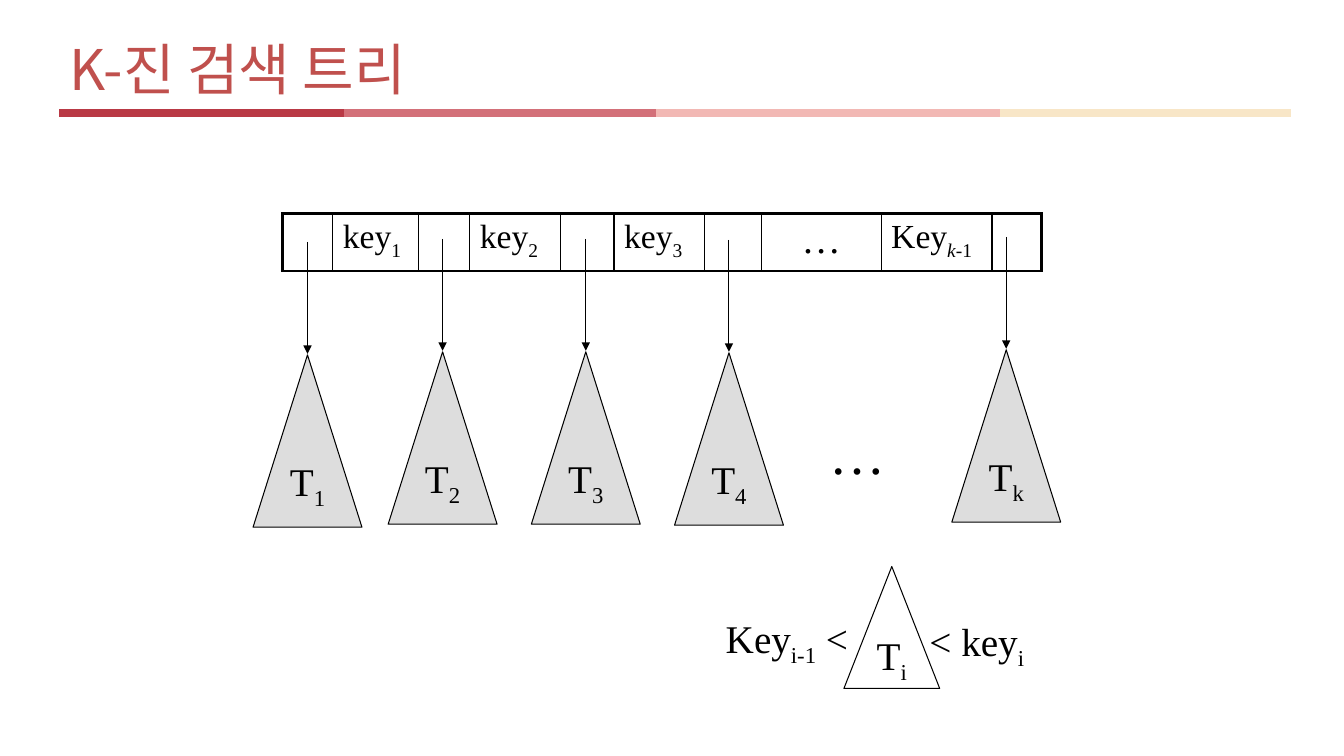
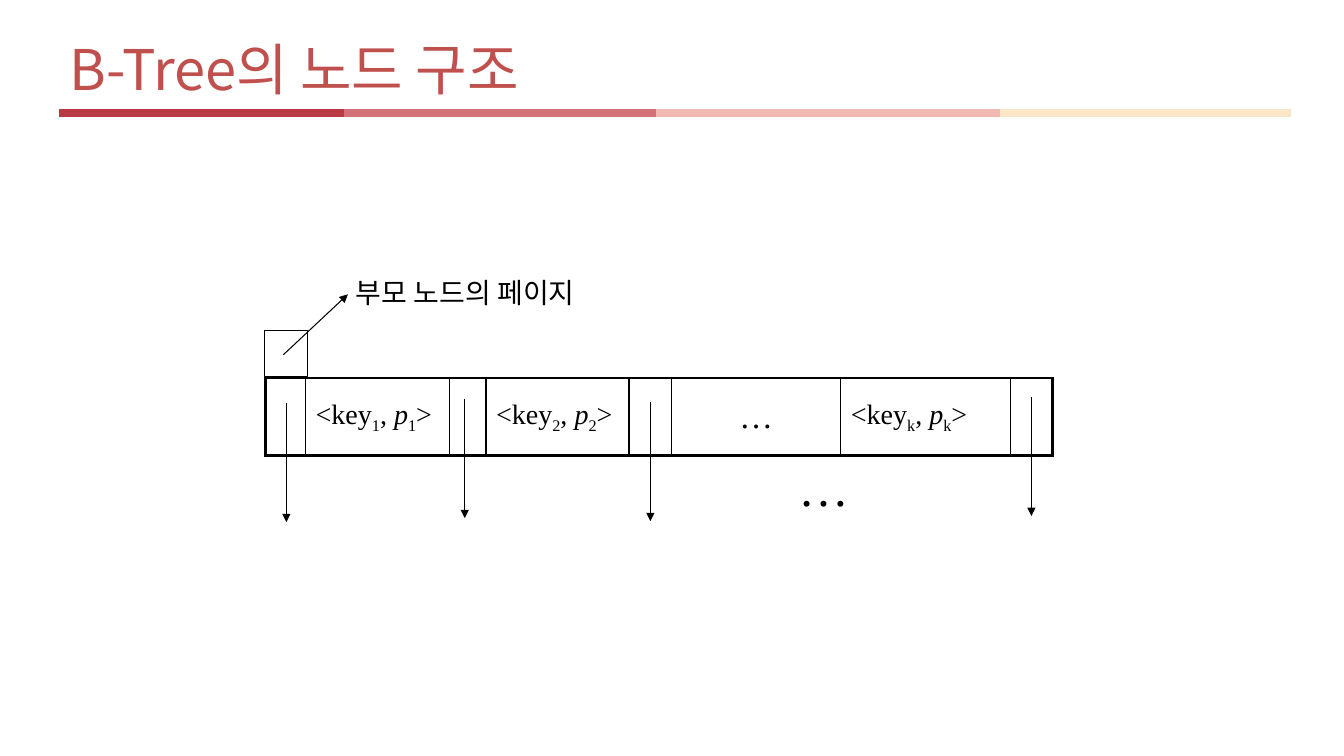
from itertools import pairwise

from lxml import etree
from pptx import Presentation
from pptx.dml.color import RGBColor
from pptx.enum.shapes import MSO_CONNECTOR, MSO_SHAPE
from pptx.enum.text import MSO_ANCHOR, PP_ALIGN
from pptx.oxml.ns import qn
from pptx.util import Emu, Pt

PX = 9144
SLIDE_WIDTH, SLIDE_HEIGHT = 1333, 750
COLORS = {
    "title": "C0504D",
    "ink": "000000",
    "paper": "FFFFFF",
    "subtree": "DDDDDD",
}
BAND_COLORS = ["B93945", "D37079", "F2B8B4", "F8E6C7"]
BAND_EDGES = [59, 341, 651, 992, 1280]
SANS, SERIF = "Noto Sans CJK KR", "Times New Roman"
STRAIGHT = MSO_CONNECTOR.STRAIGHT
TRIANGLE, RECTANGLE = MSO_SHAPE.ISOSCELES_TRIANGLE, MSO_SHAPE.RECTANGLE
LEFT, CENTER = PP_ALIGN.LEFT, PP_ALIGN.CENTER
TOP, MIDDLE = MSO_ANCHOR.TOP, MSO_ANCHOR.MIDDLE
PLAIN, SUB, ITALIC, SUB_ITALIC = "plain", "sub", "italic", "sub italic"
ELLIPSIS = [("…", PLAIN)]


def emu(*lengths):
    """Turn px lengths into EMU."""
    return [Emu(length * PX) for length in lengths]


def rgb(name):
    """Return the named colour."""
    return RGBColor.from_string(COLORS[name])


def subscripted(base, index):
    """Return the pieces of a word followed by a subscript."""
    return [(base, PLAIN), (index, SUB)]


def key_pair(index):
    """Return the pieces of a key and pointer pair."""
    return [("<key", PLAIN), (index, SUB), (", ", PLAIN),
            ("p", ITALIC), (index, SUB), (">", PLAIN)]


def write(text_frame, pieces, size, font=SERIF, color="ink", align=LEFT):
    """Write styled pieces as the runs of one paragraph."""
    paragraph = text_frame.paragraphs[0]
    paragraph.alignment = align
    for text, style in pieces:
        run = paragraph.add_run()
        run.text = text
        run.font.size = Pt(size)
        run.font.name = font
        run.font.color.rgb = rgb(color)
        properties = run._r.get_or_add_rPr()
        etree.SubElement(properties, qn("a:ea"), typeface=font)
        if "italic" in style:
            run.font.italic = True
        if "sub" in style:
            properties.set("baseline", "-25000")


def add_label(slide, box, pieces, size, font=SERIF):
    """Add a one-line text box."""
    text_frame = slide.shapes.add_textbox(*emu(*box)).text_frame
    text_frame.word_wrap = False
    write(text_frame, pieces, size, font)


def add_outline(slide, kind, box, fill=None):
    """Add a thin black outlined shape, filled when a colour is named."""
    shape = slide.shapes.add_shape(kind, *emu(*box))
    shape.shadow.inherit = False
    if fill:
        shape.fill.solid()
        shape.fill.fore_color.rgb = rgb(fill)
    else:
        shape.fill.background()
    shape.line.color.rgb = rgb("ink")
    shape.line.width = Pt(0.75)
    return shape


def add_triangle(slide, box, index, fill):
    """Add a subtree triangle labelled T with an index."""
    text_frame = add_outline(slide, TRIANGLE, box, fill).text_frame
    text_frame.word_wrap = False
    text_frame.vertical_anchor = MIDDLE
    write(text_frame, subscripted("T", index), 28, align=CENTER)


def add_line(slide, start, end, color, width):
    """Add a straight line without a shadow."""
    line = slide.shapes.add_connector(STRAIGHT, *emu(*start, *end))
    line.line.color.rgb = RGBColor.from_string(color)
    line.line.width = Pt(width)
    etree.SubElement(line._element.spPr, qn("a:effectLst"))
    return line


def add_arrow(slide, start, end):
    """Add a thin black arrow."""
    arrow = add_line(slide, start, end, COLORS["ink"], 0.75)
    etree.SubElement(arrow.line._get_or_add_ln(), qn("a:tailEnd"), type="triangle")


def set_borders(cell, is_first, is_last):
    """Draw thick outer and thin inner borders."""
    properties = cell._tc.get_or_add_tcPr()
    widths = {"lnL": 2.25 if is_first else 1, "lnR": 2.25 if is_last else 1,
              "lnT": 2.25, "lnB": 2.25}
    for position, (side, width) in enumerate(widths.items()):
        border = etree.Element(qn(f"a:{side}"), w=str(Pt(width)))
        fill = etree.SubElement(border, qn("a:solidFill"))
        etree.SubElement(fill, qn("a:srgbClr"), val=COLORS["ink"])
        properties.insert(position, border)


def add_node(slide, left, top, height, cells, anchor):
    """Add a tree node as a one-row table of (width, pieces, size) cells."""
    width = sum(cell[0] for cell in cells)
    table = slide.shapes.add_table(
        1, len(cells), *emu(left, top, width, height)).table
    table.first_row = table.horz_banding = False
    for column, (cell_width, pieces, size) in enumerate(cells):
        table.columns[column].width = Emu(cell_width * PX)
        cell = table.cell(0, column)
        cell.fill.background()
        cell.vertical_anchor = anchor
        set_borders(cell, column == 0, column == len(cells) - 1)
        align = CENTER if pieces == ELLIPSIS else LEFT
        write(cell.text_frame, pieces, size, align=align)


def add_slide(presentation, title):
    """Add a slide with the shared title and colour band."""
    slide = presentation.slides.add_slide(presentation.slide_layouts[6])
    for color, (start, end) in zip(BAND_COLORS, pairwise(BAND_EDGES)):
        add_line(slide, (start, 112), (end, 112), color, 6)
    text_frame = slide.shapes.add_textbox(*emu(59, 32, 1217, 79)).text_frame
    text_frame.word_wrap = True
    text_frame.vertical_anchor = MIDDLE
    text_frame.paragraphs[0].line_spacing = 0.9
    write(text_frame, [(title, PLAIN)], 40, SANS, "title")
    return slide


def search_tree(slide, left, top):
    """Draw a k-way node with an arrow to each subtree."""
    last_key = [("Key", PLAIN), ("k-", SUB_ITALIC), ("1", SUB)]
    cells = [
        (50, [], 24), (85, subscripted("key", "1"), 24),
        (51, [], 24), (90, subscripted("key", "2"), 24),
        (53, [], 24), (90, subscripted("key", "3"), 24),
        (56, [], 24), (119, ELLIPSIS, 28),
        (110, last_key, 24), (49, [], 24),
    ]
    add_node(slide, left + 29, top, 57, cells, TOP)
    subtrees = [("1", 54, 28), ("2", 188, 25), ("3", 330, 25),
                ("4", 472, 26), ("k", 747, 23)]
    for index, offset, drop in subtrees:
        center, start = left + offset, top + drop
        add_triangle(slide, (center - 54, start + 112, 108, 171), index, "subtree")
        add_arrow(slide, (center, start), (center, start + 111))
    add_label(slide, (left + 562, top + 198, 76, 77), ELLIPSIS, 40)


def ordering_rule(slide, left, top):
    """Draw the rule that bounds the keys of one subtree."""
    add_triangle(slide, (left + 127, top, 95, 121), "i", "paper")
    lower = subscripted("Key", "i-1") + [(" <", PLAIN)]
    add_label(slide, (left, top + 43, 147, 57), lower, 28)
    add_label(slide, (left + 202, top + 46, 116, 57), subscripted("< key", "i"), 28)


def btree_node(slide, left, top):
    """Draw a B-tree node with its parent pointer and child arrows."""
    cells = [
        (40, [], 20), (143, key_pair("1"), 20),
        (36, [], 20), (142, key_pair("2"), 20),
        (42, [], 20), (168, ELLIPSIS, 24),
        (168, key_pair("k"), 20), (42, [], 20),
    ]
    add_node(slide, left + 1, top + 47, 77, cells, MIDDLE)
    for offset, drop in [(22, 72), (199, 68), (383, 71), (761, 66)]:
        x, start = left + offset, top + drop
        add_arrow(slide, (x, start), (x, start + 118))
    add_label(slide, (left + 520, top + 120, 70, 70), ELLIPSIS, 36)
    add_outline(slide, RECTANGLE, (left, top, 43, 46))
    add_arrow(slide, (left + 19, top + 24), (left + 83, top - 36))
    add_label(slide, (left + 81, top - 60, 264, 44),
              [("부모 노드의 페이지", PLAIN)], 20, SANS)


def main():
    """Build and save the presentation."""
    presentation = Presentation()
    presentation.slide_width, presentation.slide_height = emu(SLIDE_WIDTH, SLIDE_HEIGHT)
    slide = add_slide(presentation, "K-진 검색 트리")
    search_tree(slide, 251, 212)
    ordering_rule(slide, 710, 562)
    slide = add_slide(presentation, "B-Tree의 노드 구조")
    btree_node(slide, 262, 328)
    presentation.save("out.pptx")


if __name__ == "__main__":
    main()
